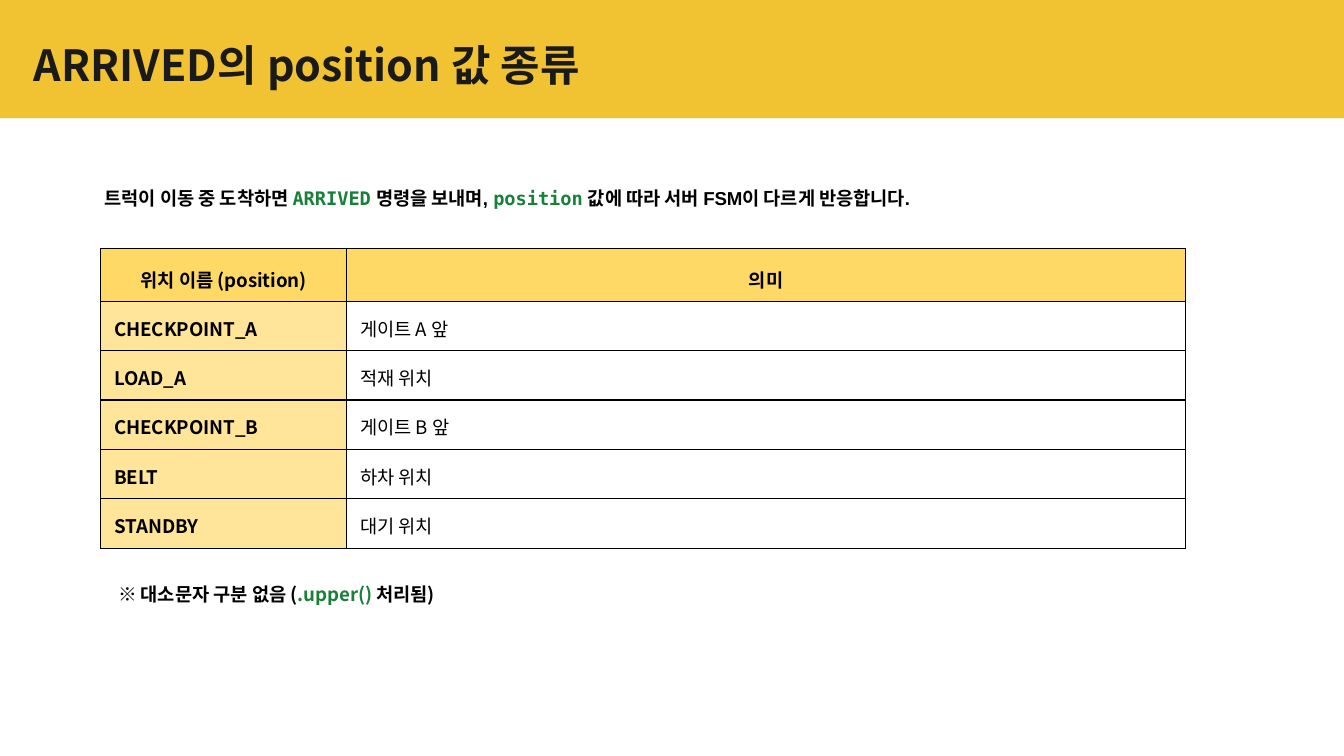
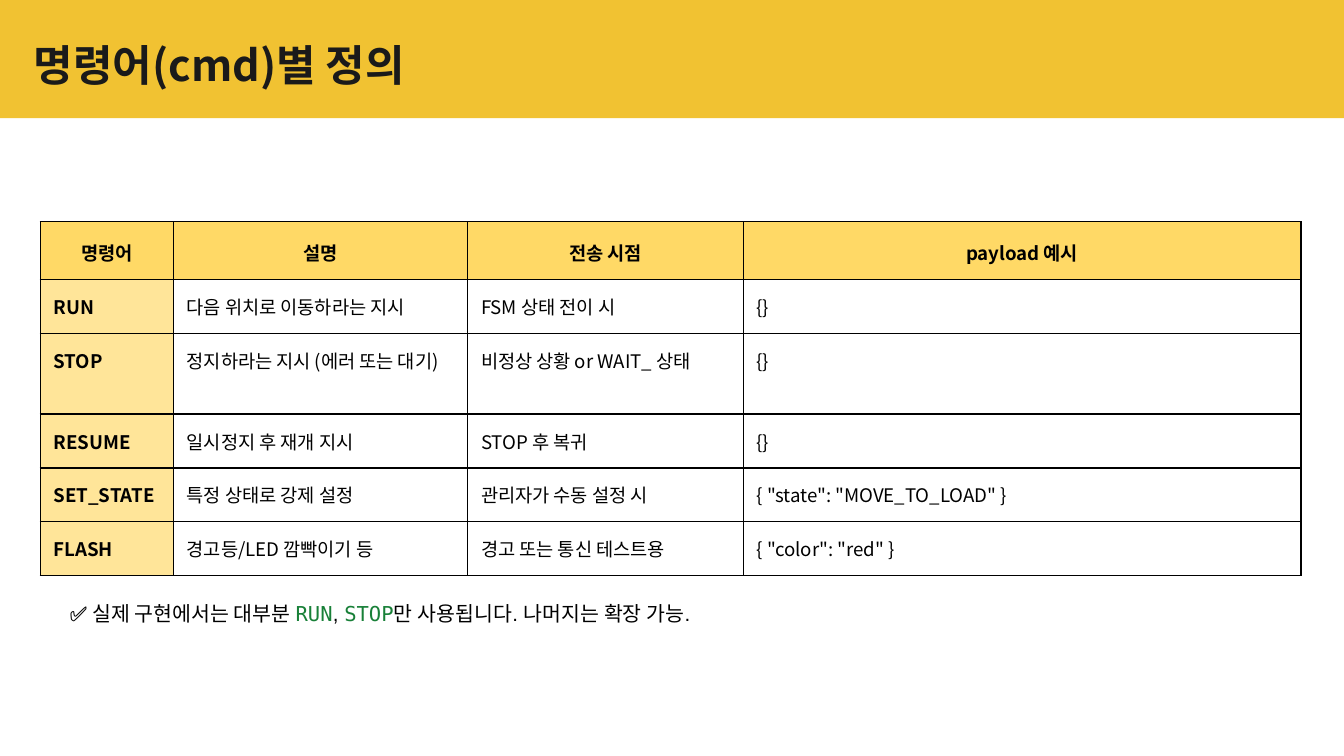
import pptx
import pptx.dml.color
import pptx.enum.shapes
import pptx.enum.text
import pptx.oxml
import pptx.oxml.ns
import pptx.util

COLORS = {
    "band": "F1C232",
    "title": "1A1A1A",
    "header": "FFD966",
    "key": "FFE599",
    "text": "000000",
    "code": "188038",
}
SANS, KOREAN, MONO = "Arial", "Noto Sans CJK KR", "DejaVu Sans Mono"
WIDTH = pptx.util.Inches(10)
HEIGHT = WIDTH * 9 // 16
COLUMN = WIDTH // 100  # square grid unit: 100 columns across the slide
INSET = 1
MARGINS = ("margin_left", "margin_top", "margin_right", "margin_bottom")


def grid(*units):
    return [round(unit * COLUMN) for unit in units]


def rgb(name):
    return pptx.dml.color.RGBColor.from_string(COLORS[name])


def fill_solid(target, name):
    target.fill.solid()
    target.fill.fore_color.rgb = rgb(name)


def set_margins(target):
    for margin in MARGINS:
        setattr(target, margin, grid(INSET)[0])


def add_span(para, text, face=KOREAN, color="text", **formats):
    """Add a run with one Latin face and the shared Korean face."""
    span = para.add_run()
    span.text = text
    for name, value in {"name": face, **formats}.items():
        setattr(span.font, name, value)
    span.font.color.rgb = rgb(color)
    korean = pptx.oxml.parse_xml(
        f'<a:ea {pptx.oxml.ns.nsdecls("a")} typeface="{KOREAN}"/>')
    properties = span._r.get_or_add_rPr()
    properties.find(pptx.oxml.ns.qn("a:latin")).addnext(korean)


def add_band(page, layout):
    """Draw the yellow band and hand it to the layout that all slides share."""
    band = page.shapes.add_shape(
        pptx.enum.shapes.MSO_SHAPE.RECTANGLE, *grid(0, 0, 100, 8.8))
    band.shadow.inherit = False
    fill_solid(band, "band")
    band.line.fill.background()
    layout.shapes.element.insert(2, band.element)


def add_page(deck, title):
    page = deck.slides.add_slide(deck.slide_layouts[5])
    box = page.shapes.title
    box.left, box.top, box.width, box.height = grid(1.5, 1.8, 84.1, 5.9)
    frame = box.text_frame
    set_margins(frame)
    frame.auto_size = pptx.enum.text.MSO_AUTO_SIZE.NONE
    frame.vertical_anchor = pptx.enum.text.MSO_ANCHOR.MIDDLE
    para = frame.paragraphs[0]
    para.alignment = pptx.enum.text.PP_ALIGN.LEFT
    add_span(para, title, color="title", size=pptx.util.Pt(23), bold=True)
    return page


def add_note(page, place, spans, size, bold=False, face=SANS, code_face=MONO):
    """Add one line of text; spans alternate between plain words and code."""
    frame = page.shapes.add_textbox(*grid(*place)).text_frame
    frame.word_wrap = True
    set_margins(frame)
    for index, text in enumerate(spans):
        is_code = index % 2 == 1
        add_span(frame.paragraphs[0], text, code_face if is_code else face,
                 "code" if is_code else "text",
                 size=pptx.util.Pt(size), bold=bold)


def add_borders(cell):
    properties = cell._tc.get_or_add_tcPr()
    for index, side in enumerate(("lnL", "lnR", "lnT", "lnB")):
        properties.insert(index, pptx.oxml.parse_xml(
            f'<a:{side} {pptx.oxml.ns.nsdecls("a")} w="{pptx.util.Pt(0.75)}">'
            f'<a:solidFill><a:srgbClr val="{COLORS["text"]}"/></a:solidFill>'
            f'</a:{side}>'))


def format_cell(cell, text, is_header, is_key):
    set_margins(cell)
    if is_header or is_key:
        fill_solid(cell, "header" if is_header else "key")
    else:
        cell.fill.background()
    add_borders(cell)
    para = cell.text_frame.paragraphs[0]
    if is_header:
        para.alignment = pptx.enum.text.PP_ALIGN.CENTER
        para.line_spacing = 1.15
    add_span(para, text, size=pptx.util.Pt(10), bold=is_header or is_key)


def add_table(page, left, top, widths, heights, rows):
    table = page.shapes.add_table(
        len(rows), len(widths),
        *grid(left, top, sum(widths), sum(heights))).table
    table.horz_banding = False
    for column, width in zip(table.columns, grid(*widths)):
        column.width = width
    for row, height in zip(table.rows, grid(*heights)):
        row.height = height
    for r, texts in enumerate(rows):
        for c, text in enumerate(texts):
            format_cell(table.cell(r, c), text, r == 0, c == 0)


def add_positions(deck):
    page = add_page(deck, "ARRIVED의 position 값 종류")
    add_band(page, page.slide_layout)
    add_note(page, (6.8, 13.1, 84.5, 3.7),
             ["트럭이 이동 중 도착하면 ", "ARRIVED", " 명령을 보내며, ",
              "position", " 값에 따라 서버 FSM이 다르게 반응합니다."],
             size=10, bold=True)
    add_table(page, 7.5, 18.5, [18.3, 62.4], [3.9] + [3.67] * 5, [
        ("위치 이름 (position)", "의미"),
        ("CHECKPOINT_A", "게이트 A 앞"),
        ("LOAD_A", "적재 위치"),
        ("CHECKPOINT_B", "게이트 B 앞"),
        ("BELT", "하차 위치"),
        ("STANDBY", "대기 위치"),
    ])
    add_note(page, (7.8, 42.5, 32.8, 3.7),
             ["※ 대소문자 구분 없음 (", ".upper()", " 처리됨)"],
             size=10, bold=True, face=KOREAN, code_face=KOREAN)


def add_commands(deck):
    page = add_page(deck, "명령어(cmd)별 정의")
    add_table(page, 3, 16.5, [9.9, 21.9, 20.5, 41.5],
              [4.2, 4, 6, 4, 4, 4], [
        ("명령어", "설명", "전송 시점", "payload 예시"),
        ("RUN", "다음 위치로 이동하라는 지시", "FSM 상태 전이 시", "{}"),
        ("STOP", "정지하라는 지시 (에러 또는 대기)",
         "비정상 상황 or WAIT_ 상태", "{}"),
        ("RESUME", "일시정지 후 재개 지시", "STOP 후 복귀", "{}"),
        ("SET_STATE", "특정 상태로 강제 설정", "관리자가 수동 설정 시",
         '{ "state": "MOVE_TO_LOAD" }'),
        ("FLASH", "경고등/LED 깜빡이기 등", "경고 또는 통신 테스트용",
         '{ "color": "red" }'),
    ])
    add_note(page, (4.2, 43.8, 54, 3.9),
             ["✅ 실제 구현에서는 대부분 ", "RUN", ", ", "STOP",
              "만 사용됩니다. 나머지는 확장 가능."], size=11)


def main():
    deck = pptx.Presentation()
    deck.slide_width, deck.slide_height = WIDTH, HEIGHT
    add_positions(deck)
    add_commands(deck)
    deck.save("out.pptx")


if __name__ == "__main__":
    main()
